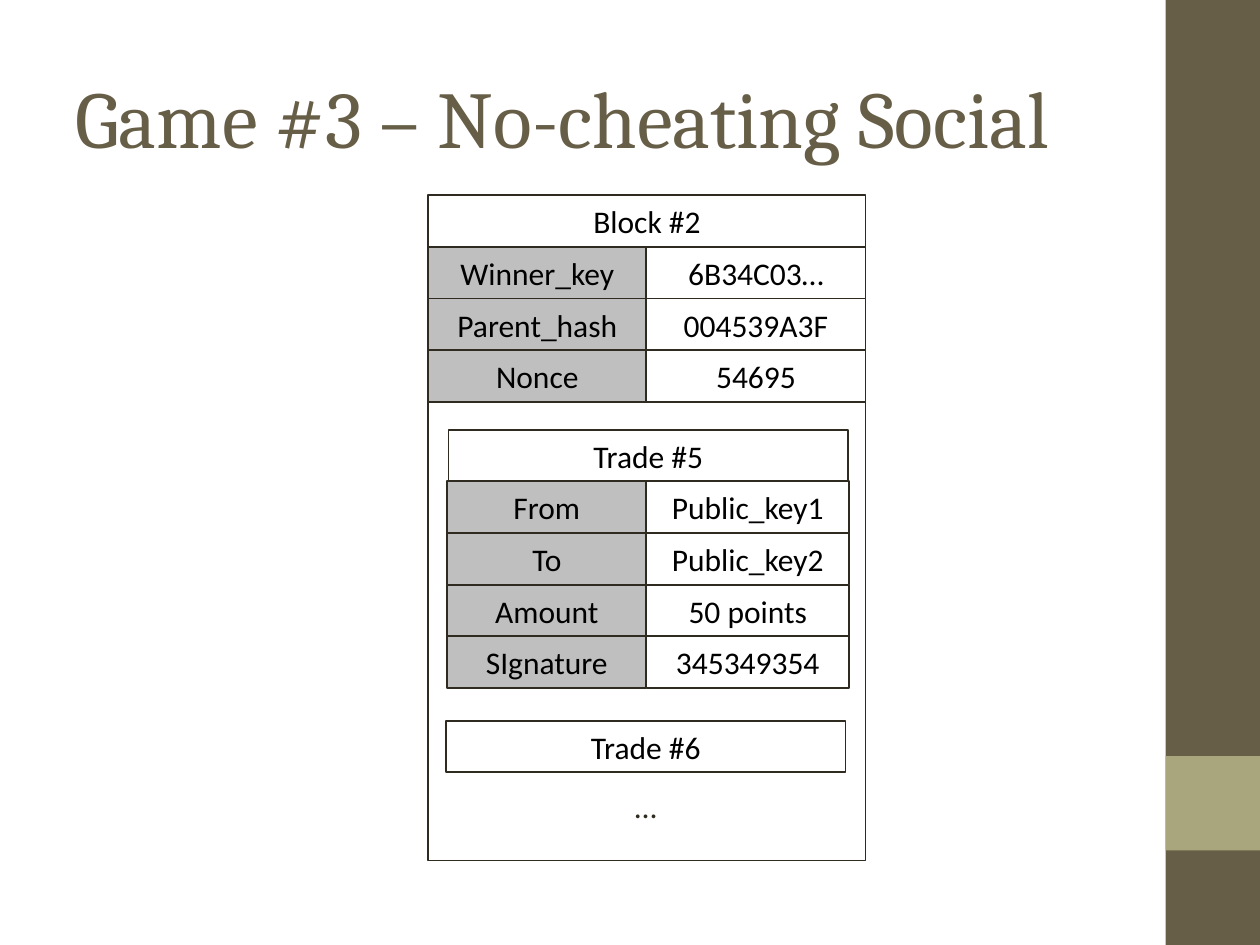
"""Build the slide that shows how a block holds its trades."""
from dataclasses import dataclass

from pptx import Presentation
from pptx.dml.color import RGBColor
from pptx.enum.shapes import MSO_SHAPE as Shape
from pptx.enum.text import MSO_ANCHOR as Anchor, MSO_AUTO_SIZE as AutoSize, PP_ALIGN as Align
from pptx.util import Inches, Pt

TITLE = "Game #3 – No-cheating Social"
BLOCK_HEADING = "Block #2"
BLOCK_FIELDS = [("Winner_key", "6B34C03…"), ("Parent_hash", "004539A3F"), ("Nonce", "54695")]
TRADE_HEADING = "Trade #5"
TRADE_FIELDS = [
    ("From", "Public_key1"),
    ("To", "Public_key2"),
    ("Amount", "50 points"),
    ("SIgnature", "345349354"),
]
NEXT_TRADE = "Trade #6"
MORE = "…"


@dataclass(frozen=True)
class Theme:
    title_font: str = "Cambria"
    body_font: str = "Calibri"
    title_size: int = 46
    body_size: int = 18
    brand: str = "675E47"
    accent: str = "A9A57C"
    ink: str = "2F2B20"
    text: str = "000000"
    label: str = "BFBFBF"
    paper: str = "FFFFFF"


THEME = Theme()
ROW = 0.41
BLOCK_LEFT, BLOCK_TOP, BLOCK_WIDTH = 3.4, 1.55, 3.47
BODY_HEIGHT = 3.64
DIVIDER = 5.13
TRADE_LEFT, TRADE_RIGHT, TRADE_TOP, TRADE_WIDTH = 3.55, 6.74, 3.41, 3.17


def style_text(paragraph, font_name, size, color, align):
    paragraph.alignment = align
    paragraph.font.name = font_name
    paragraph.font.size = Pt(size)
    paragraph.font.color.rgb = RGBColor.from_string(color)


def add_box(slide, left, top, width, height, fill, text="", outlined=True):
    box = slide.shapes.add_shape(
        Shape.RECTANGLE, Inches(left), Inches(top), Inches(width), Inches(height))
    box.shadow.inherit = False
    box.fill.solid()
    box.fill.fore_color.rgb = RGBColor.from_string(fill)
    if outlined:
        box.line.color.rgb = RGBColor.from_string(THEME.ink)
        box.line.width = Pt(1)
    else:
        box.line.fill.background()
    if text:
        frame = box.text_frame
        frame.text = text
        frame.vertical_anchor = Anchor.MIDDLE
        style_text(frame.paragraphs[0], THEME.body_font, THEME.body_size, THEME.text, Align.CENTER)


def add_fields(slide, fields, left, right, top):
    for index, (label, value) in enumerate(fields):
        row_top = top + index * ROW
        add_box(slide, left, row_top, DIVIDER - left, ROW, THEME.label, label)
        add_box(slide, DIVIDER, row_top, right - DIVIDER, ROW, THEME.paper, value)


def add_title(slide):
    title = slide.shapes.title
    title.left, title.top = Inches(0.5), Inches(0.3)
    title.width, title.height = Inches(8.33), Inches(1.25)
    frame = title.text_frame
    frame.text = TITLE
    frame.word_wrap = True
    frame.auto_size = AutoSize.NONE
    frame.vertical_anchor = Anchor.MIDDLE
    style_text(frame.paragraphs[0], THEME.title_font, THEME.title_size, THEME.brand, Align.LEFT)


def add_block(slide):
    body_top = BLOCK_TOP + ROW * (1 + len(BLOCK_FIELDS))
    add_box(slide, BLOCK_LEFT, BLOCK_TOP, BLOCK_WIDTH, ROW, THEME.paper, BLOCK_HEADING)
    add_fields(slide, BLOCK_FIELDS, BLOCK_LEFT, BLOCK_LEFT + BLOCK_WIDTH, BLOCK_TOP + ROW)
    add_box(slide, BLOCK_LEFT, body_top, BLOCK_WIDTH, BODY_HEIGHT, THEME.paper)


def add_trades(slide):
    add_fields(slide, TRADE_FIELDS, TRADE_LEFT, TRADE_RIGHT, TRADE_TOP + ROW)
    for heading, left, top in [(TRADE_HEADING, 3.56, TRADE_TOP), (NEXT_TRADE, 3.54, 5.72)]:
        add_box(slide, left, top, TRADE_WIDTH, ROW, THEME.paper, heading)
    more = slide.shapes.add_textbox(Inches(4.94), Inches(6.2), Inches(0.37), Inches(0.4))
    frame = more.text_frame
    frame.text = MORE
    frame.word_wrap = False
    frame.auto_size = AutoSize.SHAPE_TO_FIT_TEXT
    style_text(frame.paragraphs[0], THEME.body_font, THEME.body_size, THEME.ink, Align.LEFT)


def main():
    deck = Presentation()
    deck.slide_width, deck.slide_height = Inches(10), Inches(7.5)
    slide = deck.slides.add_slide(deck.slide_layouts[5])
    add_box(slide, 9.25, 0, 0.75, 7.5, THEME.brand, outlined=False)
    add_box(slide, 9.25, 6, 0.75, 0.75, THEME.accent, outlined=False)
    add_title(slide)
    add_block(slide)
    add_trades(slide)
    deck.save("out.pptx")


if __name__ == "__main__":
    main()
